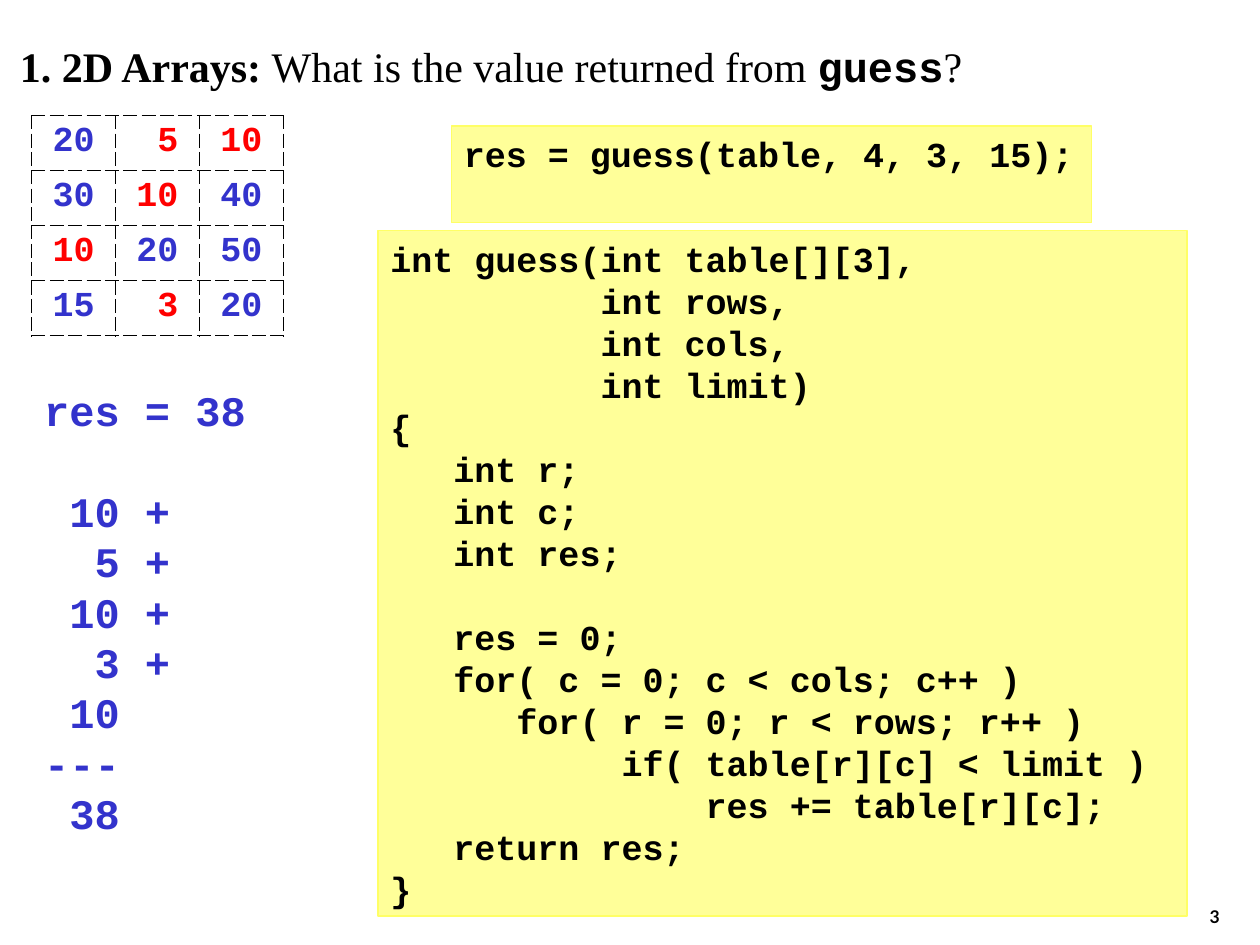
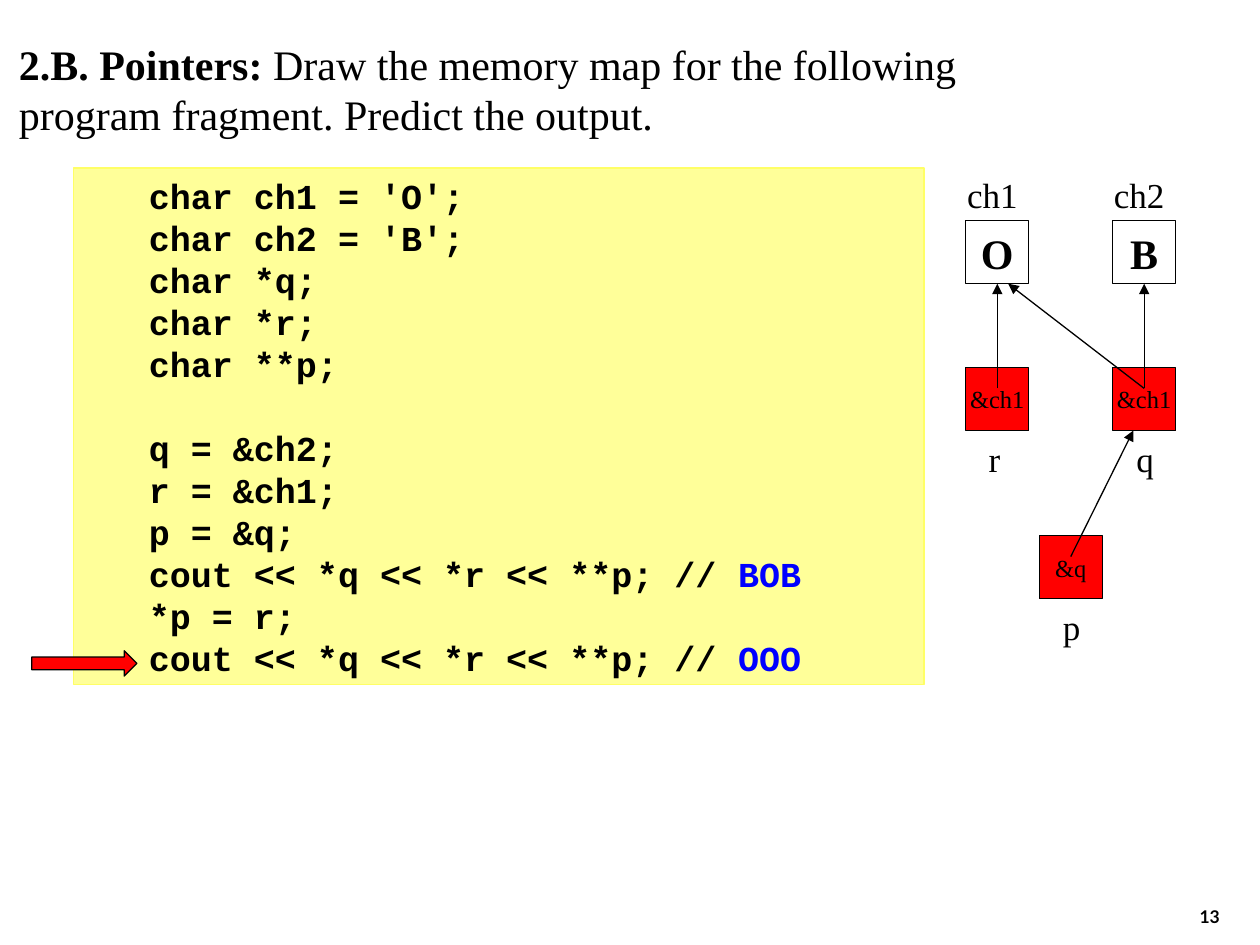
from dataclasses import dataclass

import lxml.etree
import pptx
import pptx.dml.color
import pptx.enum.dml
import pptx.enum.shapes
import pptx.enum.text
import pptx.oxml.ns
import pptx.util

Cm, Pt = pptx.util.Cm, pptx.util.Pt
Align = pptx.enum.text.PP_ALIGN
Anchor = pptx.enum.text.MSO_ANCHOR
Shape = pptx.enum.shapes.MSO_SHAPE


@dataclass(frozen=True)
class Theme:
    black: str = "000000"
    blue: str = "3333CC"
    output: str = "0000FF"
    red: str = "FF0000"
    panel: str = "FFFF99"
    edge: str = "FFFF66"
    serif: str = "Times New Roman"
    mono: str = "Courier New"
    sans: str = "Lato"
    title: int = 24
    code: int = 20
    small: int = 14
    page: int = 10
    leading: float = 1.2
    thin: float = 0.75


T = Theme()


@dataclass(frozen=True)
class Font:
    name: str
    size: int
    bold: bool = False
    colour: str = T.black


HEAD = Font(T.serif, T.title, True)
BODY = Font(T.serif, T.title)
WORD = Font(T.mono, T.title, True)
CODE = Font(T.mono, T.code, True)
OUT = Font(T.mono, T.code, True, T.output)
SUM = Font(T.mono, T.title, True, T.blue)
LABEL = Font(T.serif, T.code)
SMALL = Font(T.serif, T.small)
PAGE = Font(T.sans, T.page, True)

CALL = "res = guess(table, 4, 3, 15);"
GUESS = """int guess(int table[][3],
          int rows,
          int cols,
          int limit)
{
   int r;
   int c;
   int res;

   res = 0;
   for( c = 0; c < cols; c++ )
      for( r = 0; r < rows; r++ )
           if( table[r][c] < limit )
               res += table[r][c];
   return res;
}"""
CHARS = """   char ch1 = 'O';
   char ch2 = 'B';
   char *q;
   char *r;
   char **p;

   q = &ch2;
   r = &ch1;
   p = &q;
   cout << *q << *r << **p; // BOB
   *p = r;
   cout << *q << *r << **p; // OOO"""
GRID = [["20", " 5", "10"], ["30", "10", "40"],
        ["10", "20", "50"], ["15", " 3", "20"]]
LIMIT = 15
# Each step is its column indent and its text.
STEPS = [(1, "10 +"), (2, "5 +"), (1, "10 +"), (2, "3 +"),
         (1, "10"), (0, "---"), (1, "38")]


def paint(colour):
    return pptx.dml.color.RGBColor.from_string(colour)


def add_run(para, text, font):
    run = para.add_run()
    run.text = text
    run.font.name, run.font.size = font.name, Pt(font.size)
    run.font.bold = font.bold
    run.font.color.rgb = paint(font.colour)


def write(frame, lines, align=Align.LEFT, anchor=Anchor.TOP, wrap=True):
    """Fill a frame with lines of (text, font) runs; an empty line makes a gap."""
    frame.word_wrap, frame.vertical_anchor = wrap, anchor
    frame.margin_left = frame.margin_right = Cm(0.25)
    frame.margin_top = frame.margin_bottom = Cm(0.13)
    para, gap = frame.paragraphs[0], False
    for index, runs in enumerate(lines):
        if not runs:
            gap = True
            continue
        if index:
            para = frame.add_paragraph()
        height = Pt(runs[0][1].size * T.leading)
        para.alignment, para.line_spacing = align, height
        if gap:
            para.space_before, gap = height, False
        for text, font in runs:
            add_run(para, text, font)


def add_text(slide, box, lines, **layout):
    shape = slide.shapes.add_textbox(*map(Cm, box))
    write(shape.text_frame, lines, **layout)
    return shape


def add_box(slide, kind, box, fill, line):
    shape = slide.shapes.add_shape(kind, *map(Cm, box))
    shape.shadow.inherit = False
    if fill:
        shape.fill.solid()
        shape.fill.fore_color.rgb = paint(fill)
    else:
        shape.fill.background()
    shape.line.color.rgb = paint(line)
    shape.line.width = Pt(T.thin)
    return shape


def add_arrow(slide, start, end, width=T.thin):
    line = slide.shapes.add_connector(
        pptx.enum.shapes.MSO_CONNECTOR.STRAIGHT, *map(Cm, start + end))
    line.line.color.rgb = paint(T.black)
    line.line.width = Pt(width)
    qn = pptx.oxml.ns.qn
    lxml.etree.SubElement(line.line._get_or_add_ln(), qn("a:tailEnd"), type="triangle")
    lxml.etree.SubElement(line._element.spPr, qn("a:effectLst"))
    return line


def add_code(slide, box, source):
    """Draw a yellow panel of code, with the printed output in blue."""
    panel = add_box(slide, Shape.RECTANGLE, box, T.panel, T.edge)
    lines = []
    for row in source.split("\n"):
        code, mark, note = row.partition("// ")
        runs = [(code + mark, CODE), (note, OUT)]
        lines.append([run for run in runs if run[0]])
    write(panel.text_frame, lines)


def add_border(cell):
    qn = pptx.oxml.ns.qn
    props = cell._tc.get_or_add_tcPr()
    for side in "LRTB":
        line = lxml.etree.SubElement(props, qn(f"a:ln{side}"), w=str(Pt(0.45)))
        fill = lxml.etree.SubElement(line, qn("a:solidFill"))
        lxml.etree.SubElement(fill, qn("a:srgbClr"), val=T.black)
        lxml.etree.SubElement(line, qn("a:prstDash"), val="dash")


def add_grid(slide, left, top):
    """Draw the array, with values below the limit in red."""
    wide, high = 1.69, 1.11
    rows, cols = len(GRID), len(GRID[0])
    table = slide.shapes.add_table(
        rows, cols, Cm(left), Cm(top), Cm(cols * wide), Cm(rows * high)).table
    table.first_row = table.horz_banding = False
    for col in table.columns:
        col.width = Cm(wide)
    for row, values in zip(table.rows, GRID):
        row.height = Cm(high)
        for cell, value in zip(row.cells, values):
            add_border(cell)
            cell.fill.background()
            para = cell.text_frame.paragraphs[0]
            para.alignment = Align.CENTER
            colour = T.red if int(value) < LIMIT else T.blue
            add_run(para, value, Font(T.mono, T.code, True, colour))


def add_sum(slide, box):
    lines = [[("res = 38", SUM)], []] + [[(text, SUM)] for _, text in STEPS]
    shape = add_text(slide, box, lines)
    digit = Pt(T.title * 0.6)
    for para, (indent, _) in zip(shape.text_frame.paragraphs[1:], STEPS):
        para._p.get_or_add_pPr().set("marL", str(indent * digit))


def add_map(slide, left, top):
    """Draw the memory map; left and top are the corner of the first cell."""
    side, pitch, drop, wide = 1.27, 2.96, 6.35, 2.2
    # name: column, row offset, value, font, fill, label offset, label nudge
    nodes = {
        "ch1": (0, 0, "O", HEAD, None, -1.08, -0.1),
        "ch2": (1, 0, "B", HEAD, None, -1.08, -0.1),
        "r": (0, pitch, "&ch1", SMALL, T.red, side, -0.06),
        "q": (1, pitch, "&ch1", SMALL, T.red, side, 0.02),
        "p": (0.5, drop, "&q", SMALL, T.red, side, 0.02),
    }
    cells, mids = {}, {}
    for name, (col, down, value, font, fill, shift, nudge) in nodes.items():
        x, y = left + col * pitch, top + down
        cell = add_box(slide, Shape.FLOWCHART_PROCESS, (x, y, side, side), fill, T.black)
        write(cell.text_frame, [[(value, font)]], Align.CENTER, Anchor.MIDDLE, False)
        label = (x + nudge + (side - wide) / 2, y + shift, wide, 1.11)
        add_text(slide, label, [[(name, LABEL)]], align=Align.CENTER)
        cells[name], mids[name] = cell, (x + side / 2, y + 0.42)
    base = top + side
    for tail, head, width in (("r", "ch1", T.thin), ("q", "ch2", 0.25)):
        arrow = add_arrow(slide, mids[tail], (mids[head][0], base), width)
        arrow.end_connect(cells[head], 2)
    add_arrow(slide, mids["p"], (mids["q"][0] - 0.22, base + pitch))
    add_arrow(slide, mids["q"], (mids["ch1"][0] + 0.22, base))


def start(deck, lines, left, top, page):
    """Add a blank slide with its title and page number."""
    slide = deck.slides.add_slide(deck.slide_layouts[6])
    add_text(slide, (left, top, 22.2, 1.2 * len(lines)), lines)
    add_text(slide, (19.56, 17.55, 5.28, 1.27), [[(page, PAGE)]],
             align=Align.RIGHT, anchor=Anchor.BOTTOM)
    return slide


def add_arrays(deck):
    title = [[("1. 2D Arrays: ", HEAD), ("What is the value returned from ", BODY),
              ("guess", WORD), ("?", BODY)]]
    slide = start(deck, title, 0.15, 0.69, "3")
    add_grid(slide, 0.64, 2.33)
    add_code(slide, (7.62, 4.65, 16.31, 13.82), GUESS)
    add_code(slide, (9.1, 2.54, 12.91, 1.95), CALL)
    add_sum(slide, (0.64, 7.62, 5, 9.4))


def add_memory(deck):
    title = [[("2.B. Pointers: ", HEAD), ("Draw the memory map for the following", BODY)],
             [("program fragment. Predict the output.", BODY)]]
    slide = start(deck, title, 0.13, 0.64, "13")
    add_map(slide, 19.47, 4.45)
    add_code(slide, (1.48, 3.39, 17.15, 10.41), CHARS)
    add_box(slide, Shape.RIGHT_ARROW, (0.64, 13.12, 2.12, 0.51), T.red, T.black)


def main():
    deck = pptx.Presentation()
    deck.slide_width, deck.slide_height = Cm(25.4), Cm(19.05)
    add_arrays(deck)
    add_memory(deck)
    deck.save("out.pptx")


if __name__ == "__main__":
    main()
